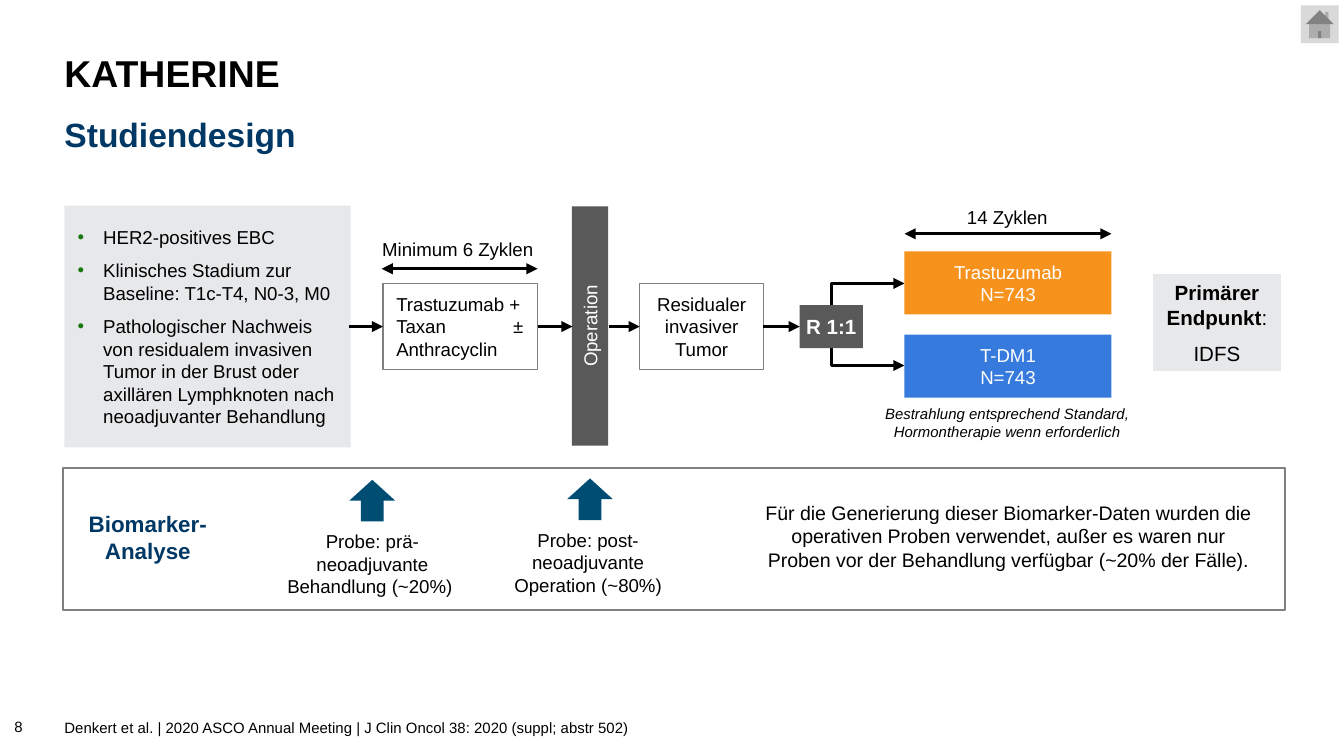
import pptx
import pptx.util
from lxml import etree
from pptx.dml.color import RGBColor
from pptx.enum.shapes import MSO_CONNECTOR, MSO_SHAPE
from pptx.enum.text import MSO_ANCHOR, PP_ALIGN
from pptx.oxml.ns import qn
from pptx.util import Inches

BLACK = RGBColor(0x00, 0x00, 0x00)
WHITE = RGBColor(0xFF, 0xFF, 0xFF)
NAVY = RGBColor(0x00, 0x38, 0x65)
PETROL = RGBColor(0x00, 0x4D, 0x74)
DARK_GREY = RGBColor(0x59, 0x59, 0x59)
MID_GREY = RGBColor(0x7F, 0x7F, 0x7F)
BUTTON_GREY = RGBColor(0xD9, 0xD9, 0xD9)
LIGHT_GREY = RGBColor(0xE7, 0xE8, 0xEA)
ORANGE = RGBColor(0xF7, 0x93, 0x1D)
BLUE = RGBColor(0x36, 0x7A, 0xDD)
BULLET_GREEN = "197812"

CENTER, LEFT = PP_ALIGN.CENTER, PP_ALIGN.LEFT
MIDDLE, TOP, BOTTOM = MSO_ANCHOR.MIDDLE, MSO_ANCHOR.TOP, MSO_ANCHOR.BOTTOM
MARGINS = (0.1, 0.05, 0.1, 0.05)
FLUSH_LEFT = (0, 0.05, 0.1, 0.05)


def add_bullet(paragraph):
    properties = paragraph._p.get_or_add_pPr()
    properties.set("marL", str(Inches(0.19)))
    properties.set("indent", str(-Inches(0.19)))
    colour = etree.SubElement(properties, qn("a:buClr"))
    etree.SubElement(colour, qn("a:srgbClr"), val=BULLET_GREEN)
    etree.SubElement(properties, qn("a:buFont"), typeface="Arial")
    etree.SubElement(properties, qn("a:buChar"), char="•")


def add_tab_stop(paragraph, position):
    tabs = etree.SubElement(paragraph._p.get_or_add_pPr(), qn("a:tabLst"))
    etree.SubElement(tabs, qn("a:tab"), pos=str(Inches(position)), algn="l")


def write_text(shape, paragraphs, size=10, colour=BLACK, align=CENTER, anchor=MIDDLE,
               margins=MARGINS, gap=0, spacing=None, bullets=False, tab=None, **formats):
    """Each paragraph is a string or a list of (text, format values) runs."""
    frame = shape.text_frame
    frame.word_wrap = True
    frame.vertical_anchor = anchor
    for side, margin in zip(("left", "top", "right", "bottom"), margins):
        setattr(frame, f"margin_{side}", Inches(margin))
    base = {"name": "Arial", "size": pptx.util.Pt(size), **formats}
    for index, content in enumerate(paragraphs):
        paragraph = frame.add_paragraph() if index else frame.paragraphs[0]
        if bullets:
            add_bullet(paragraph)
        if tab:
            add_tab_stop(paragraph, tab)
        paragraph.alignment = align
        if spacing:
            paragraph.line_spacing = spacing
        if index and gap:
            paragraph.space_before = pptx.util.Pt(gap)
        runs = [(content, {})] if isinstance(content, str) else content
        for text, changes in runs:
            run = paragraph.add_run()
            run.text = text
            for key, value in {**base, **changes}.items():
                setattr(run.font, key, value)
            run.font.color.rgb = colour


def add_label(slide, box, paragraphs, **style):
    write_text(slide.shapes.add_textbox(*map(Inches, box)), paragraphs, **style)


def add_block(slide, box, fill=None, outline=None, width=0.75, preset=MSO_SHAPE.RECTANGLE,
              paragraphs=(), **style):
    shape = slide.shapes.add_shape(preset, *map(Inches, box))
    shape.shadow.inherit = False
    if fill is None:
        shape.fill.background()
    else:
        shape.fill.solid()
        shape.fill.fore_color.rgb = fill
    if outline is None:
        shape.line.fill.background()
    else:
        shape.line.color.rgb = outline
        shape.line.width = pptx.util.Pt(width)
    if paragraphs:
        write_text(shape, paragraphs, **style)
    return shape


def add_arrow(slide, start, end, kind=MSO_CONNECTOR.STRAIGHT, ends=("tailEnd",)):
    connector = slide.shapes.add_connector(kind, *map(Inches, (*start, *end)))
    connector.line.color.rgb = BLACK
    connector.line.width = pptx.util.Pt(1.5)
    line = connector.line._get_or_add_ln()
    for end_name in ends:
        etree.SubElement(line, qn(f"a:{end_name}"), type="triangle")
    etree.SubElement(connector._element.spPr, qn("a:effectLst"))
    return connector


def add_double_arrow(slide, left, right, y):
    add_arrow(slide, (left, y), (right, y), ends=("headEnd", "tailEnd"))


def add_branch(slide, start, end):
    """Elbow that leaves vertically and arrives horizontally from the left."""
    (x1, y1), (x2, y2) = start, end
    run, rise = x2 - x1, abs(y2 - y1)
    left, top = (x1 + x2 - rise) / 2, (y1 + y2 - run) / 2
    connector = add_arrow(slide, (left, top), (left + rise, top + run), MSO_CONNECTOR.ELBOW)
    properties = connector._element.spPr
    properties.find(qn("a:prstGeom")).set("prst", "bentConnector2")
    upward = y2 < y1
    turn = {"rot": "5400000", "flipH": "1", "flipV": "1"} if upward else {
        "rot": "16200000", "flipH": "1"}
    for key, value in turn.items():
        properties.find(qn("a:xfrm")).set(key, value)


def add_header_and_footer(slide):
    add_block(slide, (9.68, 0.04, 0.28, 0.28), BUTTON_GREY,
              preset=MSO_SHAPE.ACTION_BUTTON_HOME)
    flush = {"align": LEFT, "margins": FLUSH_LEFT}
    add_label(slide, (0.48, 0.3, 9.06, 0.52), ["KATHERINE"], size=20, spacing=0.9,
              bold=True, **flush)
    add_label(slide, (0.48, 0.8, 9.06, 0.39), ["Studiendesign"], size=18, colour=NAVY,
              bold=True, **flush)
    add_label(slide, (0.48, 5.3, 9.06, 0.25),
              ["Denkert et al. | 2020 ASCO Annual Meeting | J Clin Oncol 38: 2020 "
               "(suppl; abstr 502)"], size=8, anchor=TOP, **flush)
    add_label(slide, (0.01, 5.27, 0.43, 0.25), ["8"], size=8, align=LEFT, anchor=BOTTOM)


def add_study_flow(slide):
    # Randomisation and its two branches
    for y_start, y_end in ((2.58, 2.72), (2.27, 2.11)):
        add_branch(slide, (6.19, y_start), (6.73, y_end))
    add_block(slide, (5.95, 2.27, 0.47, 0.32), DARK_GREY, paragraphs=["R 1:1"], size=11,
              colour=WHITE, margins=(0.04, 0.05, 0.04, 0.05), bold=True)

    # Inclusion criteria
    add_block(slide, (0.48, 1.53, 2.13, 1.8), LIGHT_GREY, paragraphs=[
        "HER2-positives EBC",
        "Klinisches Stadium zur Baseline: T1c-T4, N0-3, M0",
        "Pathologischer Nachweis von residualem invasiven Tumor in der Brust oder "
        "axillären Lymphknoten nach neoadjuvanter Behandlung",
    ], align=LEFT, gap=6, bullets=True)

    # Neoadjuvant therapy, surgery, residual tumour
    add_block(slide, (2.85, 2.11, 1.15, 0.64), WHITE, MID_GREY,
              paragraphs=["Trastuzumab + Taxan\t± Anthracyclin"], align=LEFT, tab=0.87)
    surgery = add_block(slide, (3.5, 2.29, 1.78, 0.27), DARK_GREY,
                        paragraphs=["Operation"], colour=WHITE)
    surgery.rotation = 270
    add_block(slide, (4.76, 2.11, 0.92, 0.64), WHITE, MID_GREY,
              paragraphs=["Residualer invasiver Tumor"])

    # Treatment arms
    for top, colour, drug in ((1.87, ORANGE, "Trastuzumab"), (2.49, BLUE, "T-DM1")):
        add_block(slide, (6.73, top, 1.54, 0.47), colour, paragraphs=[drug, "N=743"],
                  colour=WHITE)
    add_block(slide, (6.06, 2.97, 2.87, 0.35), WHITE, paragraphs=[
        "Bestrahlung entsprechend Standard,", "Hormontherapie wenn erforderlich",
    ], size=8, italic=True)

    # Durations
    add_block(slide, (2.72, 1.74, 1.37, 0.23), WHITE, paragraphs=["Minimum 6 Zyklen"])
    add_double_arrow(slide, 2.84, 4, 2)
    add_block(slide, (6.81, 1.5, 1.37, 0.23), WHITE, paragraphs=["14 Zyklen"])
    add_double_arrow(slide, 6.73, 8.27, 1.74)

    # Arrows between the steps
    for left, right in ((2.6, 2.85), (4, 4.26), (4.53, 4.76), (5.68, 5.95)):
        add_arrow(slide, (left, 2.43), (right, 2.43))

    # Primary endpoint
    add_block(slide, (8.58, 2.04, 0.95, 0.72), LIGHT_GREY,
              paragraphs=[[("Primärer Endpunkt", {"bold": True}), (":", {})], "IDFS"],
              size=11, gap=6, margins=(0.08, 0.04, 0.08, 0.04))


def add_biomarker_panel(slide):
    add_block(slide, (0.47, 3.48, 9.09, 1.06), outline=MID_GREY, width=1)
    add_label(slide, (0.49, 3.69, 1.22, 0.61), ["Biomarker-Analyse"], size=12, colour=NAVY,
              bold=True)
    add_label(slide, (2, 3.89, 1.54, 0.61), ["Probe: prä-neoadjuvante Behandlung (~20%) "])
    add_label(slide, (3.64, 3.88, 1.47, 0.61), ["Probe: post-neoadjuvante Operation (~80%)"])
    add_label(slide, (5.58, 3.51, 3.85, 0.96),
              ["Für die Generierung dieser Biomarker-Daten wurden die operativen Proben "
               "verwendet, außer es waren nur Proben vor der Behandlung verfügbar "
               "(~20% der Fälle)."], size=10.5)
    for left, top in ((2.6, 3.57), (4.22, 3.56)):
        add_block(slide, (left, top, 0.34, 0.31), PETROL, preset=MSO_SHAPE.UP_ARROW)


def main():
    presentation = pptx.Presentation()
    presentation.slide_width = Inches(10)
    presentation.slide_height = Inches(10 * 9 / 16)
    slide = presentation.slides.add_slide(presentation.slide_layouts[6])
    add_header_and_footer(slide)
    add_study_flow(slide)
    add_biomarker_panel(slide)
    presentation.save("out.pptx")


if __name__ == "__main__":
    main()
